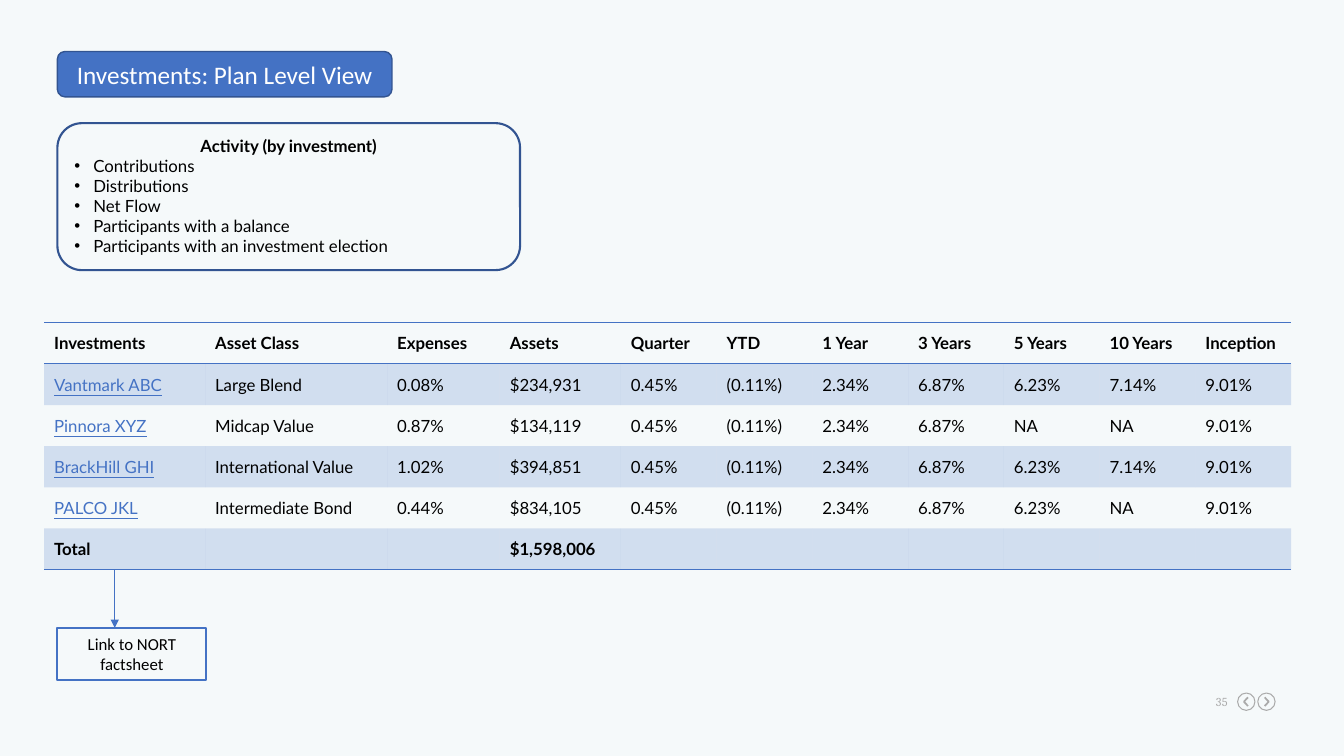
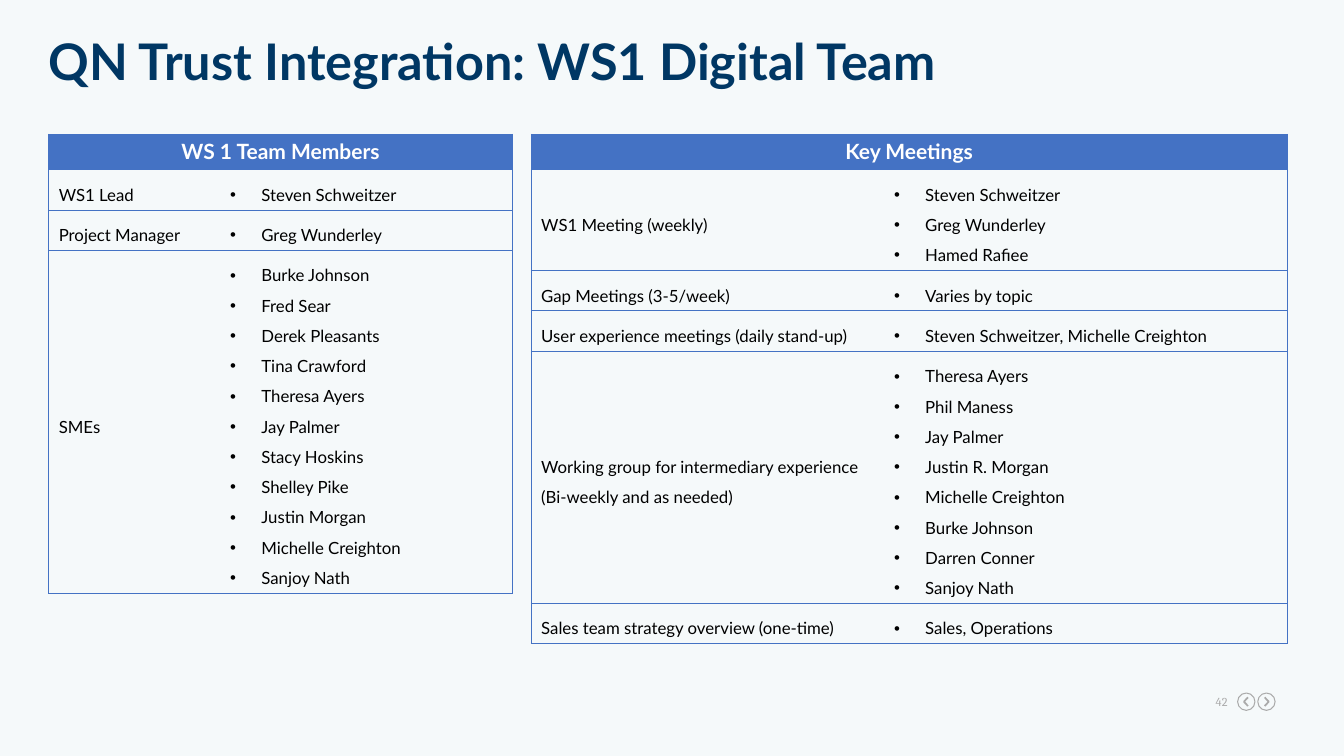
import lxml.etree
import pptx
import pptx.dml.color
import pptx.enum.shapes
import pptx.enum.text
import pptx.oxml.ns
import pptx.util

Pt = pptx.util.Pt
RGBColor = pptx.dml.color.RGBColor
Shape = pptx.enum.shapes.MSO_SHAPE
Align = pptx.enum.text.PP_ALIGN
Anchor = pptx.enum.text.MSO_ANCHOR
qn = pptx.oxml.ns.qn

BLUE = RGBColor(0x44, 0x72, 0xC4)
EDGE = RGBColor(0x32, 0x54, 0x91)
NAVY = RGBColor(0x00, 0x37, 0x64)
GRAY = RGBColor(0xAA, 0xAA, 0xAA)
PALE = RGBColor(0xF5, 0xF9, 0xFA)
BLACK = RGBColor(0, 0, 0)
WHITE = RGBColor(0xFF, 0xFF, 0xFF)

PLAIN = "{2D5ABB26-0587-4C30-8999-92F81FD0307C}"  # table style without grid
LINE = 21.6  # height of a table line at 1.5 spacing
PAD = 7.2  # top and bottom cell margins together

FUNDS = [
    "Investments|Asset Class|Expenses|Assets|Quarter|YTD|1 Year|3 Years|5 Years|10 Years|Inception",
    "Vantmark ABC|Large Blend|0.08%|$234,931|0.45%|(0.11%)|2.34%|6.87%|6.23%|7.14%|9.01%",
    "Pinnora XYZ|Midcap Value|0.87%|$134,119|0.45%|(0.11%)|2.34%|6.87%|NA|NA|9.01%",
    "BrackHill GHI|International Value|1.02%|$394,851|0.45%|(0.11%)|2.34%|6.87%|6.23%|7.14%|9.01%",
    "PALCO JKL|Intermediate Bond|0.44%|$834,105|0.45%|(0.11%)|2.34%|6.87%|6.23%|NA|9.01%",
    "Total|||$1,598,006|||||||",
]
ACTS = ["Contributions", "Distributions", "Net Flow", "Participants with a balance",
        "Participants with an investment election"]
TEAM = [
    ("WS1 Lead", ["Steven Schweitzer"]),
    ("Project Manager", ["Greg Wunderley"]),
    ("SMEs", ["Burke Johnson", "Fred Sear", "Derek Pleasants", "Tina Crawford",
              "Theresa Ayers", "Jay Palmer", "Stacy Hoskins", "Shelley Pike",
              "Justin Morgan", "Michelle Creighton", "Sanjoy Nath"]),
]
MEETS = [
    ("WS1 Meeting (weekly)", ["Steven Schweitzer", "Greg Wunderley", "Hamed Rafiee"]),
    ("Gap Meetings (3-5/week)", ["Varies by topic"]),
    ("User experience meetings (daily stand-up)", ["Steven Schweitzer, Michelle Creighton"]),
    ("Working group for intermediary experience\n(Bi-weekly and as needed)",
     ["Theresa Ayers", "Phil Maness", "Jay Palmer", "Justin R. Morgan",
      "Michelle Creighton", "Burke Johnson", "Darren Conner", "Sanjoy Nath"]),
    ("Sales team strategy overview (one-time)", ["Sales, Operations"]),
]


def write(frame, text, more=False, size=12, font="Lato", color=BLACK, bold=False,
          under=False, align=Align.LEFT, hang=0, lead=1, track=0):
    """Put one paragraph per line of text; hang is the bullet indent."""
    for i, line in enumerate(text.split("\n")):
        para = frame.add_paragraph() if more or i else frame.paragraphs[0]
        props = para._p.get_or_add_pPr()
        props.set("marL", str(Pt(hang)))
        props.set("indent", str(-Pt(hang)))
        if hang:
            lxml.etree.SubElement(props, qn("a:buFont")).set("typeface", "Arial")
            lxml.etree.SubElement(props, qn("a:buChar")).set("char", "•")
        else:
            lxml.etree.SubElement(props, qn("a:buNone"))
        para.alignment = align
        para.line_spacing = lead
        para.space_before = Pt(0)
        run = para.add_run()
        run.text = line
        face = run.font
        face.size, face.name, face.bold, face.underline = Pt(size), font, bold, under
        face.color.rgb = color
        if track:
            run._r.get_or_add_rPr().set("spc", str(track))


def place(shape, box, anchor=Anchor.TOP, inset=(0, 0)):
    """Move a text shape to its box and return its frame."""
    shape.left, shape.top, shape.width, shape.height = map(Pt, box)
    frame = shape.text_frame
    frame.auto_size = pptx.enum.text.MSO_AUTO_SIZE.NONE
    frame.word_wrap = True
    frame.vertical_anchor = anchor
    frame.margin_left = frame.margin_right = Pt(inset[0])
    frame.margin_top = frame.margin_bottom = Pt(inset[1])
    return frame


def paint(shape, fill=None, line=None, width=1):
    shape.shadow.inherit = False
    if fill is None:
        shape.fill.background()
    else:
        shape.fill.solid()
        shape.fill.fore_color.rgb = fill
    shape.line.color.rgb = line
    shape.line.width = Pt(width)
    return shape


def draw(slide, kind, box, **look):
    return paint(slide.shapes.add_shape(kind, *map(Pt, box)), **look)


def shade(cell, color=None, alpha=None):
    if color is None:
        cell.fill.background()
        return
    cell.fill.solid()
    cell.fill.fore_color.rgb = color
    if alpha:
        tint = cell._tc.tcPr.find(".//" + qn("a:srgbClr"))
        lxml.etree.SubElement(tint, qn("a:alpha")).set("val", str(alpha * 1000))


def rule(cell, sides, width):
    """Draw borders on the sides, given in the order LRTB."""
    props = cell._tc.get_or_add_tcPr()
    for i, side in enumerate(sides):
        line = lxml.etree.Element(qn("a:ln" + side), w=str(Pt(width)))
        fill = lxml.etree.SubElement(line, qn("a:solidFill"))
        lxml.etree.SubElement(fill, qn("a:srgbClr")).set("val", str(BLUE))
        props.insert(i, line)


def grid(slide, left, top, wides, highs):
    frame = slide.shapes.add_table(len(highs), len(wides), Pt(left), Pt(top),
                                   Pt(sum(wides)), Pt(sum(highs)))
    table = frame.table
    table.first_row = table.horz_banding = False
    table._tbl.tblPr.find(qn("a:tableStyleId")).text = PLAIN
    for col, wide in zip(table.columns, wides):
        col.width = Pt(wide)
    for row, high in zip(table.rows, highs):
        row.height = Pt(high)
    for cell in table.iter_cells():
        cell.vertical_anchor = Anchor.MIDDLE
    return table


def arrow(slide, left, top, side, turn):
    """Ringed chevron; turn is 1 for right and -1 for left."""
    draw(slide, Shape.OVAL, (left, top, side, side), line=GRAY, width=0.75)
    mid, half, reach = left + side / 2, top + side / 2, side / 6
    back, tip = mid - turn * reach * 0.6, mid + turn * reach * 0.8
    path = slide.shapes.build_freeform(Pt(back), Pt(half - reach * 1.5))
    path.add_line_segments([(Pt(tip), Pt(half)), (Pt(back), Pt(half + reach * 1.5))],
                           close=False)
    paint(path.convert_to_shape(), line=GRAY, width=1.25)


def footer(slide, left, top, page):
    note = slide.shapes.add_textbox(0, 0, 0, 0)
    write(place(note, (left, top, 18, 11)), page, size=8.7, font="Cambria",
          color=GRAY, align=Align.RIGHT, track=30)
    for i, turn in enumerate((-1, 1)):
        arrow(slide, left + 25 + i * 14.4, top - 1, 12.4, turn)


def start(deck, layout, page):
    slide = deck.slides.add_slide(deck.slide_layouts[layout])
    footer(slide, 859, 496, page)
    return slide


def badge(slide, box, text):
    draw(slide, Shape.ROUNDED_RECTANGLE, box, fill=BLUE, line=EDGE)
    title = slide.shapes.title
    slide.shapes._spTree.append(title._element)
    write(place(title, box, Anchor.MIDDLE), text, size=18, font="Calibri",
          color=WHITE, align=Align.CENTER)


def panel(slide, box, head, items):
    left, top, wide, high = box
    draw(slide, Shape.ROUNDED_RECTANGLE, box, line=EDGE, width=1.5)
    frame = place(slide.placeholders[1], (left + 5, top + 5, wide - 10, high - 10),
                  inset=(7.2, 3.6))
    write(frame, head, bold=True, align=Align.CENTER)
    write(frame, "\n".join(items), more=True, hang=13.5)


def funds(slide, left, top):
    wides = [115, 130, 80.5, 86.5] + [68.4] * 7
    table = grid(slide, left, top, wides, [29.4] * len(FUNDS))
    last = len(FUNDS) - 1
    for r, line in enumerate(FUNDS):
        for c, text in enumerate(line.split("|")):
            cell = table.cell(r, c)
            link = c == 0 and 0 < r < last
            if text:
                write(cell.text_frame, text, bold=r in (0, last), under=link,
                      color=BLUE if link else BLACK)
            shade(cell, BLUE if r % 2 else None, 20)
            rule(cell, {0: "TB", last: "B"}.get(r, ""), 1)


def callout(slide, box, drop, text):
    """Box with an arrow coming down to it over the drop."""
    left, top = box[:2]
    x = left + 41
    link = slide.shapes.add_connector(pptx.enum.shapes.MSO_CONNECTOR.STRAIGHT,
                                      Pt(x), Pt(top - drop), Pt(x), Pt(top))
    link.line.color.rgb = BLUE
    link.line.width = Pt(0.5)
    lxml.etree.SubElement(link.line._get_or_add_ln(), qn("a:tailEnd")).set("type", "triangle")
    lxml.etree.SubElement(link._element.spPr, qn("a:effectLst"))
    shape = draw(slide, Shape.RECTANGLE, box, line=BLUE, width=1.5)
    write(place(shape, box, Anchor.MIDDLE, (7.2, 3.6)), text, font="Calibri",
          align=Align.CENTER)


def roster(slide, left, top, wides, head, rows):
    highs = [25.2] + [LINE * len(names) + PAD for _, names in rows]
    table = grid(slide, left, top, wides, highs)
    first = table.cell(0, 0)
    first.merge(table.cell(0, 1))
    write(first.text_frame, head, size=15, color=WHITE, bold=True, align=Align.CENTER)
    for cell, sides in ((first, "LRT"), (table.cell(0, 1), "RT")):
        shade(cell, BLUE)
        rule(cell, sides, 0.5)
    for r, (role, names) in enumerate(rows, 1):
        parts = ((role, 0, "LTB"), ("\n".join(names), 22.3, "RTB"))
        for c, (text, hang, sides) in enumerate(parts):
            cell = table.cell(r, c)
            write(cell.text_frame, text, hang=hang, lead=1.5)
            shade(cell)
            rule(cell, sides, 0.5)


def main():
    deck = pptx.Presentation()
    deck.slide_width, deck.slide_height = Pt(960), Pt(540)
    back = deck.slide_master.background.fill
    back.solid()
    back.fore_color.rgb = PALE

    plan = start(deck, 1, "35")
    badge(plan, (41, 36.8, 239, 32.4), "Investments: Plan Level View")
    panel(plan, (41, 88, 330.5, 105), "Activity (by investment)", ACTS)
    funds(plan, 31.5, 230.5)
    callout(plan, (41, 448.5, 106.5, 37.5), 41.6, "Link to NORT factsheet")

    team = start(deck, 5, "42")
    write(place(team.shapes.title, (34.8, 21.6, 880, 44)),
          "QN Trust Integration: WS1 Digital Team", size=36, color=NAVY, bold=True)
    roster(team, 34.8, 95.8, (122.4, 208.8), "WS 1 Team Members", TEAM)
    roster(team, 379.4, 95.8, (252, 288), "Key Meetings", MEETS)

    deck.save("out.pptx")


if __name__ == "__main__":
    main()
